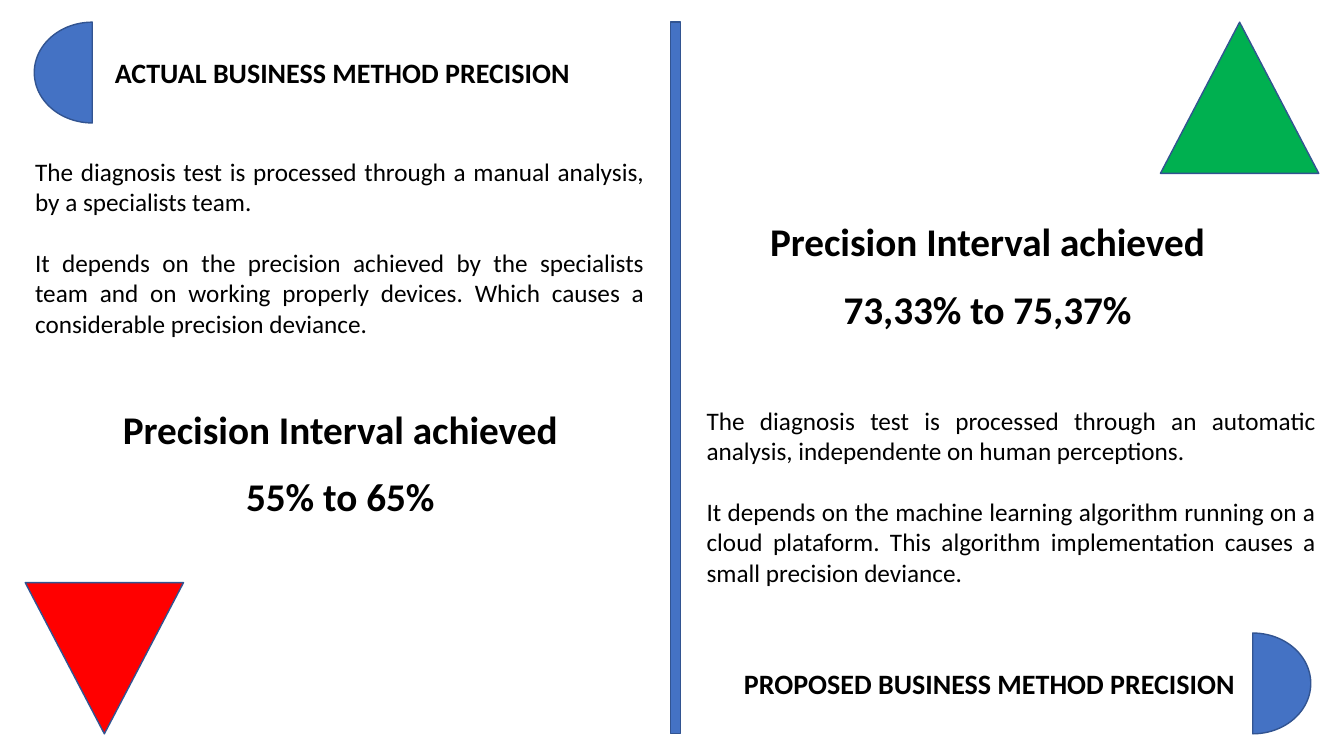
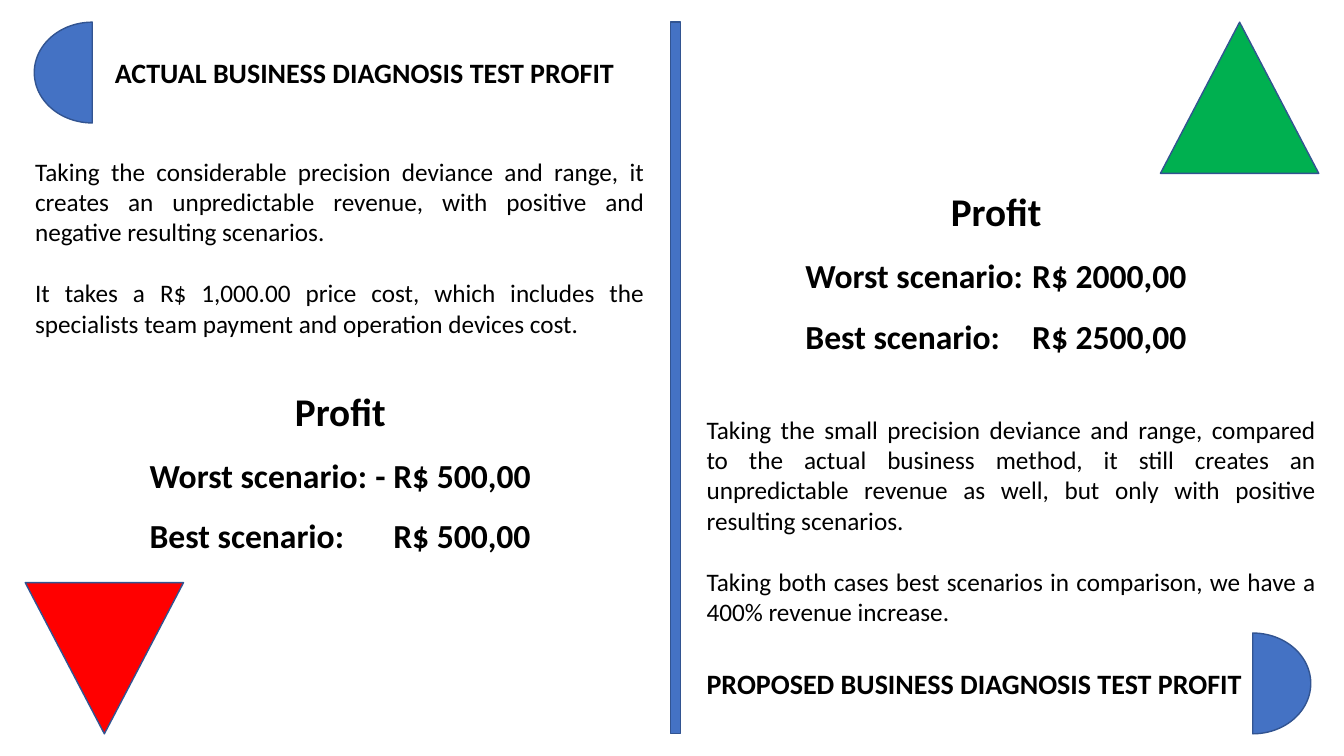
from dataclasses import dataclass

from lxml import etree
from pptx import Presentation
from pptx.dml.color import RGBColor
from pptx.enum.shapes import MSO_SHAPE
from pptx.enum.text import PP_ALIGN
from pptx.oxml.ns import qn
from pptx.util import Inches, Pt

LEFT, CENTER, JUSTIFY = PP_ALIGN.LEFT, PP_ALIGN.CENTER, PP_ALIGN.JUSTIFY
PIE, TRIANGLE, RECT = MSO_SHAPE.PIE, MSO_SHAPE.ISOSCELES_TRIANGLE, MSO_SHAPE.RECTANGLE


@dataclass(frozen=True)
class Theme:
    font: str = "Calibri"
    text: str = "000000"
    blue: str = "4472C4"
    outline: str = "325491"
    red: str = "FF0000"
    green: str = "00B050"
    title: int = 20
    body: int = 18
    headline: int = 28
    scenario: int = 24
    body_gap: float = 22
    result_gap: float = 14.6


T = Theme()

# Each box is (left, top, width, height) in inches.
SLIDES = [
    [
        dict(
            title=("ACTUAL BUSINESS METHOD PRECISION", (1.04, 0.5, 5.2, 0.44)),
            body=([
                "The diagnosis test is processed through a manual analysis, "
                "by a specialists team.",
                "It depends on the precision achieved by the specialists team and on "
                "working properly devices. Which causes a considerable precision deviance.",
            ], (0.25, 1.5, 6.24, 1.92)),
            result=(["Precision Interval achieved", "55% to 65%"],
                    (1.04, 3.97, 4.67, 1.25)),
        ),
        dict(
            title=("PROPOSED BUSINESS METHOD PRECISION", (7.28, 6.56, 5.29, 0.44)),
            body=([
                "The diagnosis test is processed through an automatic analysis, "
                "independente on human perceptions.",
                "It depends on the machine learning algorithm running on a cloud plataform. "
                "This algorithm implementation causes a small precision deviance.",
            ], (6.91, 3.97, 6.24, 1.92)),
            result=(["Precision Interval achieved", "73,33% to 75,37%"],
                    (7.46, 2.11, 4.67, 1.25)),
        ),
    ],
    [
        dict(
            title=("ACTUAL BUSINESS DIAGNOSIS TEST PROFIT", (1.04, 0.5, 5.2, 0.44)),
            body=([
                "Taking the considerable precision deviance and range, it creates an "
                "unpredictable revenue, with positive and negative resulting scenarios.",
                "It takes a R$ 1,000.00 price cost, which includes the specialists team "
                "payment and operation devices cost.",
            ], (0.25, 1.5, 6.24, 1.92)),
            result=(["Profit"], (1.04, 3.79, 4.67, 0.57)),
            scenarios=[("Worst scenario:", "- R$ 500,00"),
                       ("Best scenario:", "R$ 500,00")],
        ),
        dict(
            title=("PROPOSED BUSINESS DIAGNOSIS TEST PROFIT", (6.91, 6.56, 5.66, 0.44)),
            body=([
                "Taking the small precision deviance and range, compared to the actual "
                "business method, it still creates an unpredictable revenue as well, but "
                "only with positive resulting scenarios.",
                "Taking both cases best scenarios in comparison, we have a 400% revenue "
                "increase.",
            ], (6.91, 4.06, 6.24, 2.22)),
            result=(["Profit"], (7.46, 1.81, 4.84, 0.57)),
            scenarios=[("Worst scenario:", "R$ 2000,00"),
                       ("Best scenario:", "R$ 2500,00")],
        ),
    ],
]

FRAME = [
    dict(kind=PIE, box=(0.34, 0.22, 1.15, 1), fill=T.blue, adjust=(54, 162)),
    dict(kind=PIE, box=(11.85, 6.28, 1.15, 1), fill=T.blue, adjust=(54, 162), rotation=180),
    dict(kind=RECT, box=(6.65, 0.22, 0.1, 7.06), fill=T.blue),
    dict(kind=TRIANGLE, box=(0.25, 5.78, 1.57, 1.5), fill=T.red, rotation=180),
    dict(kind=TRIANGLE, box=(11.51, 0.22, 1.57, 1.5), fill=T.green),
]

SCENARIO_DROP = 0.67
SCENARIO_SIZE = (3.98, 1.12)
AMOUNT_EDGE = 3.78


def add_shape(slide, kind, box, fill, adjust=(), rotation=0):
    sp = slide.shapes.add_shape(kind, *map(Inches, box))
    sp.shadow.inherit = False
    sp.rotation = rotation
    for i, value in enumerate(adjust):
        sp.adjustments[i] = value
    sp.fill.solid()
    sp.fill.fore_color.rgb = RGBColor.from_string(fill)
    sp.line.color.rgb = RGBColor.from_string(T.outline)
    sp.line.width = Pt(1)


def add_right_tab(p, inches):
    tabs = etree.SubElement(p._p.get_or_add_pPr(), qn("a:tabLst"))
    etree.SubElement(tabs, qn("a:tab"), pos=str(Inches(inches)), algn="r")


def add_text(slide, paragraphs, box, size, bold=False, align=LEFT, gap=0, right_tab=None):
    tf = slide.shapes.add_textbox(*map(Inches, box)).text_frame
    tf.word_wrap = True
    for i, text in enumerate(paragraphs):
        p = tf.paragraphs[0] if i == 0 else tf.add_paragraph()
        p.alignment = align
        if i and gap:
            p.space_before = Pt(gap)
        if right_tab:
            add_right_tab(p, right_tab)
        r = p.add_run()
        r.text = text
        r.font.name = T.font
        r.font.size = Pt(size)
        r.font.bold = bold
        r.font.color.rgb = RGBColor.from_string(T.text)


def add_half(slide, title, body, result, scenarios=()):
    """Write one business method: its title, explanation and result."""
    add_text(slide, [title[0]], title[1], T.title, bold=True)
    add_text(slide, *body, T.body, align=JUSTIFY, gap=T.body_gap)
    add_text(slide, *result, T.headline, bold=True, align=CENTER, gap=T.result_gap)
    if scenarios:
        left, top, width, _ = result[1]
        box = (left + (width - SCENARIO_SIZE[0]) / 2, top + SCENARIO_DROP, *SCENARIO_SIZE)
        add_text(slide, ["\t".join(row) for row in scenarios], box, T.scenario,
                 bold=True, gap=T.result_gap, right_tab=AMOUNT_EDGE)


def main():
    prs = Presentation()
    prs.slide_width, prs.slide_height = Inches(13.33), Inches(7.5)
    for halves in SLIDES:
        slide = prs.slides.add_slide(prs.slide_layouts[6])
        for part in FRAME:
            add_shape(slide, **part)
        for half in halves:
            add_half(slide, **half)
    prs.save("out.pptx")


if __name__ == "__main__":
    main()
